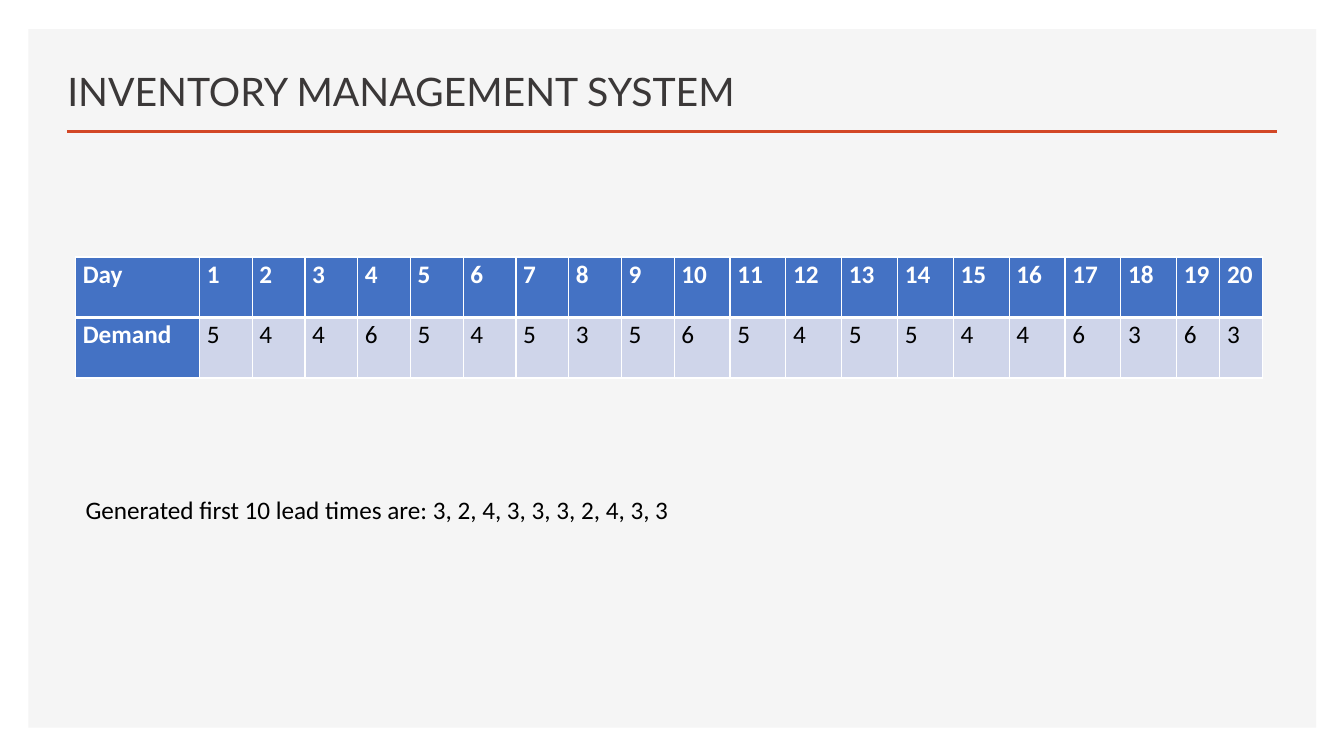
"""Build the inventory management slide with its daily demand table."""
from lxml import etree
from pptx import Presentation
from pptx import util as u
from pptx.dml.color import RGBColor
from pptx.enum import shapes, text
from pptx.oxml import ns

WHITE = RGBColor(0xFF, 0xFF, 0xFF)
BLACK = RGBColor(0, 0, 0)
PANEL = RGBColor(0xF5, 0xF5, 0xF5)
RULE = RGBColor(0xD2, 0x47, 0x26)
TITLE = RGBColor(0x3B, 0x38, 0x38)
HEADER = RGBColor(0x44, 0x72, 0xC4)
BODY = RGBColor(0xCF, 0xD5, 0xEA)

DEMAND = [5, 4, 4, 6, 5, 4, 5, 3, 5, 6, 5, 4, 5, 5, 4, 4, 6, 3, 6, 3]
ROWS = [["Day", *range(1, len(DEMAND) + 1)], ["Demand", *DEMAND]]
COLUMN_WIDTHS = [88.5] + [37.7] * 9 + [39.9] * 9 + [30.8] * 2
ROW_HEIGHT = 43.2


def write(text_frame, words, font_name, size, color, spacing, bold=False):
    text_frame.text = words
    paragraph = text_frame.paragraphs[0]
    paragraph.line_spacing = spacing
    font = paragraph.runs[0].font
    font.name, font.size, font.bold = font_name, u.Pt(size), bold
    font.color.rgb = color


def add_border(cell, side, width):
    properties = cell._tc.get_or_add_tcPr()
    line = etree.SubElement(properties, ns.qn(f"a:{side}"), w=str(u.Pt(width)))
    fill = etree.SubElement(line, ns.qn("a:solidFill"))
    etree.SubElement(fill, ns.qn("a:srgbClr"), val=str(WHITE))


presentation = Presentation()
presentation.slide_width, presentation.slide_height = u.Pt(960), u.Pt(540)
slide = presentation.slides.add_slide(presentation.slide_layouts[6])

panel = slide.shapes.add_shape(
    shapes.MSO_SHAPE.RECTANGLE, u.Pt(20.2), u.Pt(20.8), u.Pt(920), u.Pt(499))
panel.shadow.inherit = False
panel.fill.solid()
panel.fill.fore_color.rgb = PANEL
panel.line.fill.background()

title_rule = slide.shapes.add_connector(
    shapes.MSO_CONNECTOR.STRAIGHT, u.Pt(47.8), u.Pt(94), u.Pt(912.2), u.Pt(94))
title_rule.line.color.rgb = RULE
title_rule.line.width = u.Pt(2)
etree.SubElement(title_rule._element.spPr, ns.qn("a:effectLst"))

title = slide.shapes.add_textbox(u.Pt(41), u.Pt(35.3), u.Pt(541.4), u.Pt(50.4))
title.text_frame.word_wrap = True
title.text_frame.vertical_anchor = text.MSO_ANCHOR.BOTTOM
write(title.text_frame, "INVENTORY MANAGEMENT SYSTEM", "Lato", 28, TITLE, 0.9)

table = slide.shapes.add_table(
    len(ROWS), len(COLUMN_WIDTHS), u.Pt(54), u.Pt(183.6),
    u.Pt(sum(COLUMN_WIDTHS)), u.Pt(ROW_HEIGHT * len(ROWS))).table
table.first_col = True
for column, width in zip(table.columns, COLUMN_WIDTHS):
    column.width = u.Pt(width)
for row_index, values in enumerate(ROWS):
    table.rows[row_index].height = u.Pt(ROW_HEIGHT)
    for column_index, value in enumerate(values):
        cell = table.cell(row_index, column_index)
        is_header = row_index == 0 or column_index == 0
        cell.margin_left = cell.margin_right = u.Pt(5.2)
        cell.margin_top = cell.margin_bottom = 0
        for side in ("lnL", "lnR", "lnT", "lnB"):
            is_divider = (row_index, side) in ((0, "lnB"), (1, "lnT"))
            add_border(cell, side, 3 if is_divider else 1)
        cell.fill.solid()
        cell.fill.fore_color.rgb = HEADER if is_header else BODY
        write(cell.text_frame, str(value), "Calibri", 18,
              WHITE if is_header else BLACK, 1.07, is_header)

lead_times = slide.shapes.add_textbox(u.Pt(54), u.Pt(347.8), u.Pt(480), u.Pt(29.5))
lead_times.text_frame.word_wrap = True
lead_times.text_frame.auto_size = text.MSO_AUTO_SIZE.SHAPE_TO_FIT_TEXT
write(lead_times.text_frame,
      "Generated first 10 lead times are: 3, 2, 4, 3, 3, 3, 2, 4, 3, 3",
      "Calibri", 18, BLACK, 1.07)
lead_times.text_frame.paragraphs[0].space_after = u.Pt(8)

presentation.save("out.pptx")
